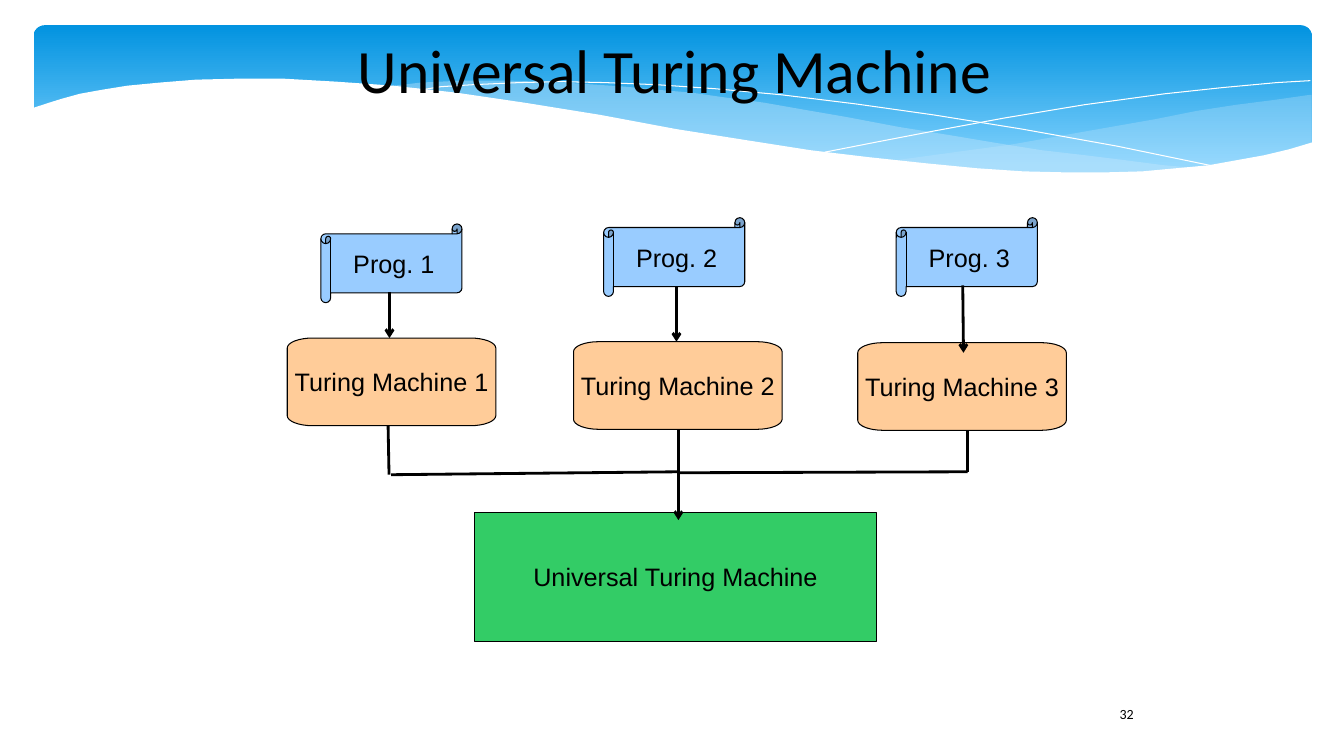
"""Builds the Universal Turing Machine slide."""
from math import cos, pi, sin

from lxml.etree import SubElement as Sub
from pptx import Presentation
from pptx.dml.color import RGBColor
from pptx.enum.shapes import MSO_CONNECTOR as Link, MSO_SHAPE as Kind
from pptx.enum.text import MSO_ANCHOR as Anchor, PP_ALIGN as Align
from pptx.oxml.ns import qn
from pptx.util import Pt

BLACK, WHITE, PALE = "000000", "FFFFFF", "C6E7FC"

RIGHT = [(936, 67.7), (911, 71.3), (883, 74.9), (855, 79.2), (826, 85), (773, 94.3),
         (724, 103), (677, 109.4), (635, 115.2), (663, 118), (690, 120.2), (715, 121.7),
         (738, 123.1), (760, 123.8), (781, 123.8), (801, 123.8), (819, 122.4),
         (837, 121.7), (854, 119.5), (869, 117.4), (884, 115.2), (898, 112.3),
         (911, 109.4), (924, 105.8), (937, 102.2), (937, 67.7)]
MID = [(857, 120.2), (831, 118), (804, 114.5), (775, 110.9), (744, 107.3), (712, 102.2),
       (678, 96.5), (642, 90.7), (604, 83.5), (575, 78.5), (546, 73.4), (519, 69.8),
       (494, 66.2), (469, 64.1), (446, 61.9), (403, 59), (364, 57.6), (330, 57.6),
       (301, 59), (275, 61.9), (310, 64.8), (348, 69.8), (388, 76.3), (431, 83.5),
       (471, 90.7), (508, 97.2), (544, 103), (577, 108), (609, 112.3), (639, 115.9),
       (667, 118.8), (693, 121), (719, 122.4), (742, 123.8), (764, 124.6),
       (785, 124.6), (805, 123.8), (823, 123.1), (840, 121.7)]
FALL = [(297, 64.8), (315, 61.9), (338, 60.5), (371, 59), (400, 58.3), (432, 59),
        (469, 60.5), (511, 63.4), (558, 67.7), (611, 74.2), (667, 82.1), (730, 92.2),
        (798, 104.4), (871, 119.5)]
RISE = [(589, 108.7), (626, 101.5), (667, 93.6), (718, 84.2), (774, 74.9), (832, 67),
        (873, 62.6), (912, 59), (936, 57.6)]
FRONT = [(938, 101.5), (921, 106.6), (903, 110.9), (883, 114.5), (863, 118.1),
         (840, 120.2), (816, 122.4), (790, 123.1), (761, 123.1), (731, 122.4),
         (698, 120.2), (661, 116.6), (621, 112.3), (579, 107.3), (533, 100.1),
         (483, 92.2), (429, 82.1), (375, 73.4), (326, 66.2), (281, 61.2), (240, 58.3),
         (203, 56.2), (169, 56.2), (140, 56.9), (114, 59), (91, 61.2), (73, 64.1),
         (57, 67), (44, 70.6), (35, 73.4), (24, 77), (22, 77), (22, 161), (938, 161)]


def hue(code):
    """Turn a hex string into a colour."""
    return RGBColor.from_string(code)


def paint(shape, fill=None, line=None, alpha=None):
    """Set fill, outline and opacity, with no shadow."""
    shape.shadow.inherit = False
    if fill:
        shape.fill.solid()
        shape.fill.fore_color.rgb = hue(fill)
    else:
        shape.fill.background()
    if alpha:
        tint = shape.fill._xPr.find(qn("a:solidFill"))[0]
        Sub(tint, qn("a:alpha"), val=str(alpha * 1000))
    if line:
        shape.line.color.rgb = hue(line)
        shape.line.width = Pt(0)
    else:
        shape.line.fill.background()


def trace(slide, x, y, dots, close=True):
    """Build an outline through dots offset by x and y."""
    spots = [(Pt(x + a), Pt(y + b)) for a, b in dots]
    pen = slide.shapes.build_freeform(*spots[0], scale=1.0)
    pen.add_line_segments(spots[1:], close=close)
    return pen.convert_to_shape()


def write(shape, text, size, face, align=Align.CENTER, anchor=Anchor.MIDDLE, wrap=False):
    """Put one black paragraph into a shape."""
    frame = shape.text_frame
    frame.word_wrap = wrap
    frame.vertical_anchor = anchor
    para = frame.paragraphs[0]
    para.text = text
    para.alignment = align
    para.font.size = Pt(size)
    para.font.name = face
    para.font.color.rgb = hue(BLACK)
    return frame


def label(shape, text, fill):
    """Colour a diagram block and name it."""
    paint(shape, fill, BLACK)
    write(shape, text, 18, "Arial")


def wire(slide, x, y, ends, arrow=False):
    """Draw a thin line, with an arrowhead if asked."""
    x1, y1, x2, y2 = ends
    line = slide.shapes.add_connector(
        Link.STRAIGHT, Pt(x + x1), Pt(y + y1), Pt(x + x2), Pt(y + y2))
    line.line.color.rgb = hue(BLACK)
    line.line.width = Pt(0)
    if arrow:
        Sub(line.line._get_or_add_ln(), qn("a:tailEnd"), type="arrow")
    Sub(line._element.spPr, qn("a:effectLst"))


def pillow(wide, high, rx=18, ry=7.2, steps=8):
    """List the dots of a box with oval corners."""
    hubs = [(wide - rx, high - ry), (rx, high - ry), (rx, ry), (wide - rx, ry)]
    return [(cx + rx * cos(turn), cy + ry * sin(turn))
            for side, (cx, cy) in enumerate(hubs)
            for turn in [(side + step / steps) * pi / 2 for step in range(steps + 1)]]


def banner(slide, x, y):
    """Draw the blue band and its waves."""
    band = slide.shapes.add_shape(
        Kind.ROUNDED_RECTANGLE, Pt(x + 24), Pt(y + 18), Pt(913), Pt(112.3))
    band.adjustments[0] = 0.071
    paint(band)
    band.fill.gradient()
    band.fill.gradient_angle = 270
    for stop, code, place in zip(band.fill.gradient_stops, ("0293E0", "83D3FE"), (0, 0.9)):
        stop.color.rgb = hue(code)
        stop.position = place
    for dots, alpha in ((RIGHT, 29), (MID, 40)):
        paint(trace(slide, x, y, dots), PALE, alpha=alpha)
    for dots in (FALL, RISE):
        paint(trace(slide, x, y, dots, close=False), line=WHITE)
    paint(trace(slide, x, y, FRONT), WHITE)


def heading(slide, x, y, wide, high):
    """Place the title."""
    box = slide.shapes.add_textbox(Pt(x), Pt(y), Pt(wide), Pt(high))
    frame = write(box, "Universal Turing Machine", 44, "Calibri", wrap=True)
    frame.margin_left = frame.margin_right = frame.margin_top = frame.margin_bottom = 0


def diagram(slide, x, y):
    """Draw programs, machines and the machine that joins them."""
    columns = [((24, 4.5), (0, 86), (73, 53, 73, 86)),
               ((226, 0), (204.5, 88.6), (278, 49.7, 278, 88.6)),
               ((435, 0), (407.5, 89.3), (482.5, 48.3, 483, 96.5))]
    for num, (scroll, block, _) in enumerate(columns, 1):
        left, top = scroll
        prog = slide.shapes.add_shape(
            Kind.HORIZONTAL_SCROLL, Pt(x + left), Pt(y + top), Pt(100.8), Pt(56.2))
        label(prog, f"Prog. {num}", "99CCFF")
        left, top = block
        unit = trace(slide, x + left, y + top, pillow(149, 62.6))
        label(unit, f"Turing Machine {num}", "FFCC99")
    whole = slide.shapes.add_shape(
        Kind.RECTANGLE, Pt(x + 134), Pt(y + 210.3), Pt(286.6), Pt(92.5))
    label(whole, "Universal Turing Machine", "33CC66")
    for ends in [col[2] for col in columns] + [(279.4, 182.2, 279.4, 216)]:
        wire(slide, x, y, ends, arrow=True)
    for ends in ((486, 152, 486, 181.5), (279.4, 182.2, 486, 181.5),
                 (279.4, 151.2, 279.4, 183.6), (72, 148.3, 72.7, 183.6),
                 (74.2, 183.6, 279.4, 181.5)):
        wire(slide, x, y, ends)


def folio(slide, x, y, wide, high):
    """Place the slide number."""
    box = slide.shapes.add_textbox(Pt(x), Pt(y), Pt(wide), Pt(high))
    write(box, "32", 10, "Calibri", Align.LEFT, Anchor.TOP, True)


def main():
    """Build and save the deck."""
    deck = Presentation()
    deck.slide_width, deck.slide_height = Pt(960), Pt(540)
    slide = deck.slides.add_slide(deck.slide_layouts[6])
    banner(slide, 0, 0)
    heading(slide, 190, 12.2, 584, 73.4)
    diagram(slide, 205.2, 155.5)
    folio(slide, 792.7, 500.4, 44, 28.8)
    deck.save("out.pptx")


if __name__ == "__main__":
    main()
